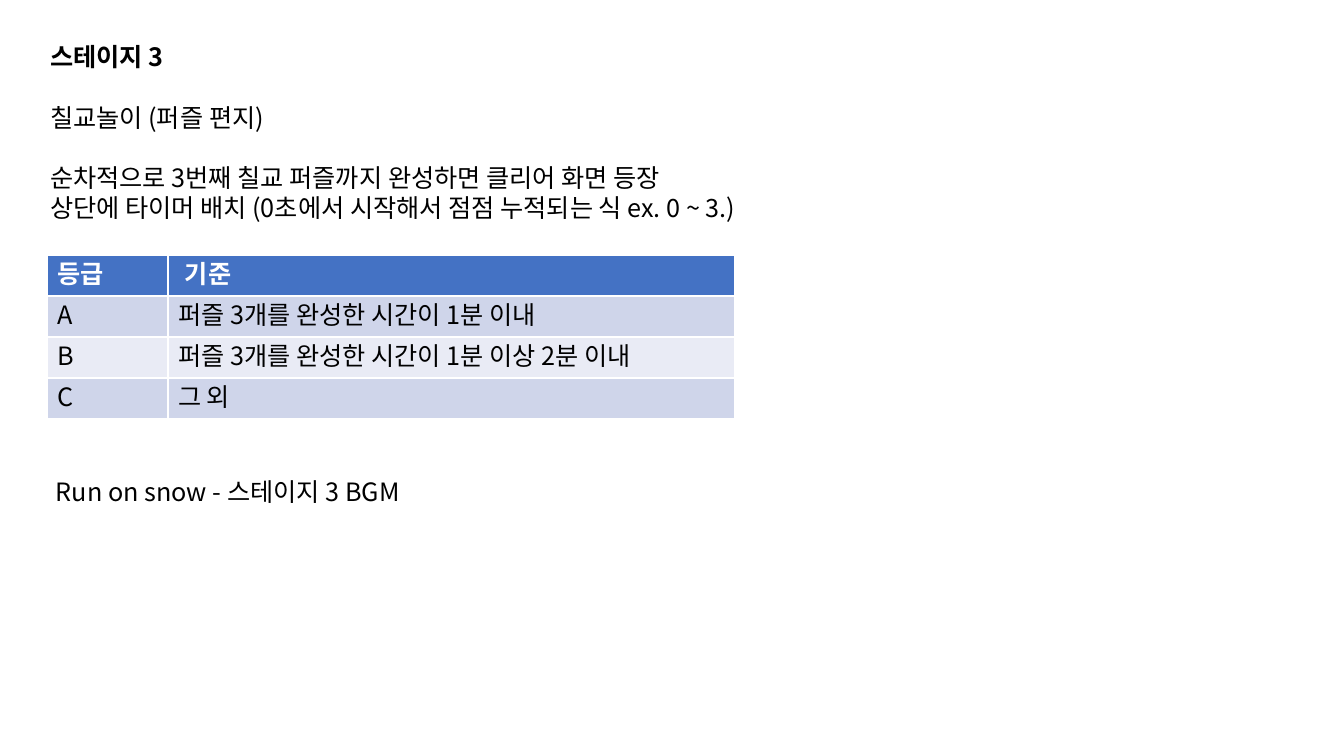
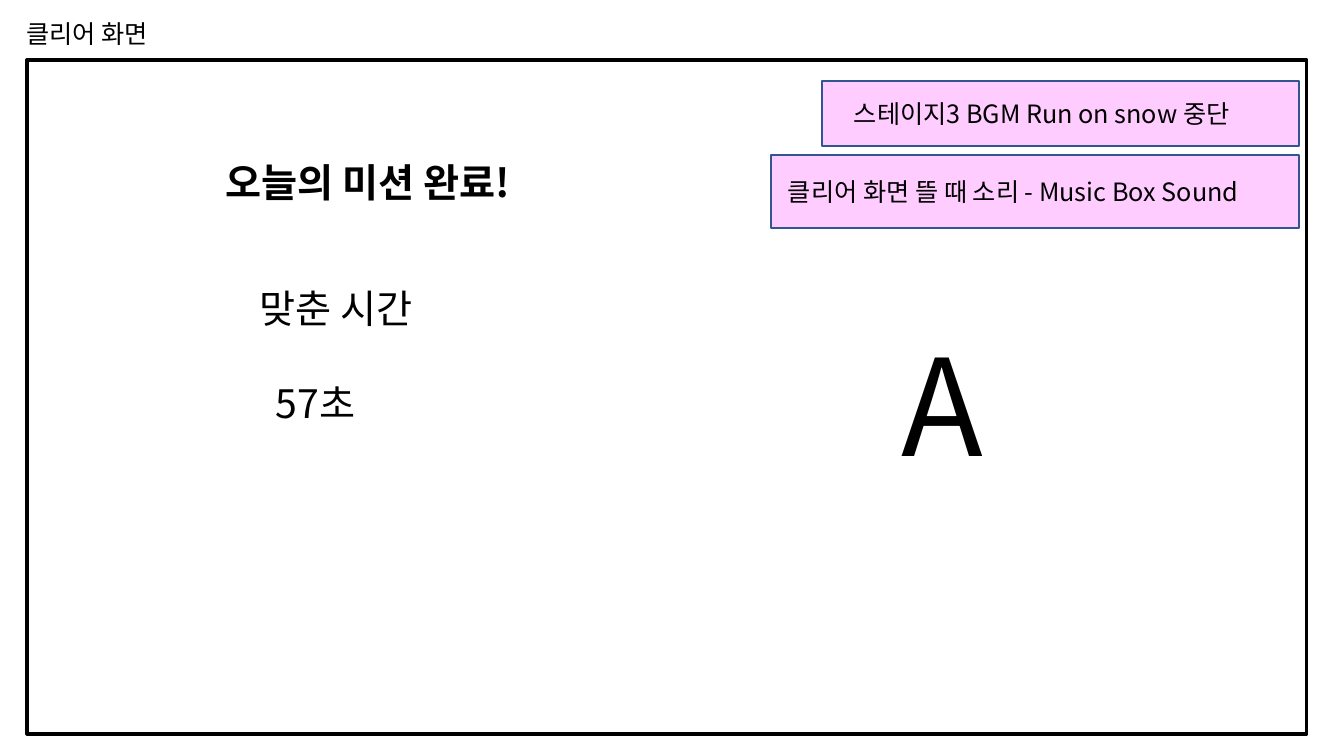
"""Build two slides on stage 3: the puzzle rules and the clear screen."""
from lxml.etree import SubElement
from pptx import Presentation
from pptx.dml.color import RGBColor
from pptx.enum.shapes import MSO_SHAPE
from pptx.enum.text import MSO_ANCHOR, MSO_AUTO_SIZE, PP_ALIGN
from pptx.oxml.ns import qn
from pptx.util import Emu, Pt

FONT = "Noto Sans CJK KR"
BLACK, WHITE = "000000", "FFFFFF"
HEADER_FILL, BAND_FILLS = "4472C4", ("CFD5EA", "E9EBF5")
NOTE_FILL, NOTE_LINE = "FFCCFF", "325491"
TEXT_SIZE, LARGE_SIZE, GRADE_SIZE = 18, 28, 96
LINE_RATIO = 1.2
SLIDE_WIDTH, SLIDE_HEIGHT = 1344, 756
PIXEL = 12192000 / SLIDE_WIDTH

RULES_TITLE = "스테이지 3"
RULES = [
    ("칠교놀이 (퍼즐 편지)", 0),
    ("순차적으로 3번째 칠교 퍼즐까지 완성하면 클리어 화면 등장", 1),
    ("상단에 타이머 배치 (0초에서 시작해서 점점 누적되는 식 ex. 0 ~ 3.)", 0),
]
GRADES = [
    ("등급", "기준"),
    ("A", "퍼즐 3개를 완성한 시간이 1분 이내"),
    ("B", "퍼즐 3개를 완성한 시간이 1분 이상 2분 이내"),
    ("C", "그 외"),
]
COLUMN_WIDTHS, ROW_HEIGHT = (121, 567), 41
MUSIC = "Run on snow - 스테이지 3 BGM"

CLEAR_TITLE = "클리어 화면"
CLEAR_TEXTS = [
    ("오늘의 미션 완료!", (216, 153, 477, 57), LARGE_SIZE, True),
    ("A", (892, 317, 323, 173), GRADE_SIZE, False),
    ("맞춘 시간", (250, 279, 400, 57), LARGE_SIZE, False),
    ("57초", (266, 374, 400, 57), LARGE_SIZE, False),
]
SOUND_NOTES = [
    ("스테이지3 BGM Run on snow 중단", (822, 81, 477, 65), 32),
    ("클리어 화면 뜰 때 소리 - Music Box Sound", (771, 155, 528, 73), 17),
]


def px(value):
    return Emu(round(value * PIXEL))


def color(value):
    return RGBColor.from_string(value)


def place(shape, box):
    shape.left, shape.top, shape.width, shape.height = map(px, box)


def write(paragraph, text, size=TEXT_SIZE, bold=False, fill=BLACK, lines_before=0):
    properties = paragraph._p.get_or_add_pPr()
    properties.set("marL", "0")
    properties.set("indent", "0")
    SubElement(properties, qn("a:buNone"))
    paragraph.alignment = PP_ALIGN.LEFT
    paragraph.line_spacing = Pt(size * LINE_RATIO)
    paragraph.space_before = Pt(lines_before * size * LINE_RATIO)
    paragraph.space_after = Pt(0)
    run = paragraph.add_run()
    run.text = text
    run.font.size, run.font.bold = Pt(size), bold
    run.font.color.rgb = color(fill)
    run.font.name = FONT
    SubElement(run._r.get_or_add_rPr(), qn("a:ea")).set("typeface", FONT)


def prepare_frame(shape, anchor=MSO_ANCHOR.TOP):
    frame = shape.text_frame
    frame.word_wrap = True
    frame.auto_size = MSO_AUTO_SIZE.NONE
    frame.vertical_anchor = anchor
    return frame


def add_text(slide, text, box, **text_format):
    shape = slide.shapes.add_textbox(*map(px, box))
    write(prepare_frame(shape).paragraphs[0], text, **text_format)


def add_rectangle(slide, box, line, line_width, fill=None):
    shape = slide.shapes.add_shape(MSO_SHAPE.RECTANGLE, *map(px, box))
    shape.shadow.inherit = False
    if fill:
        shape.fill.solid()
        shape.fill.fore_color.rgb = color(fill)
    else:
        shape.fill.background()
    shape.line.color.rgb = color(line)
    shape.line.width = Pt(line_width)
    return shape


def add_slide(presentation, layout_index, title, title_box, bold=False):
    slide = presentation.slides.add_slide(presentation.slide_layouts[layout_index])
    place(slide.shapes.title, title_box)
    write(prepare_frame(slide.shapes.title).paragraphs[0], title, bold=bold)
    return slide


def add_grade_table(slide, left, top):
    box = (left, top, sum(COLUMN_WIDTHS), ROW_HEIGHT * len(GRADES))
    table = slide.shapes.add_table(len(GRADES), len(COLUMN_WIDTHS), *map(px, box)).table
    for column, width in zip(table.columns, COLUMN_WIDTHS):
        column.width = px(width)
    for row_index, row in enumerate(GRADES):
        header = row_index == 0
        for column_index, text in enumerate(row):
            cell = table.cell(row_index, column_index)
            cell.fill.solid()
            cell.fill.fore_color.rgb = color(HEADER_FILL if header else BAND_FILLS[(row_index - 1) % 2])
            if header and column_index:
                cell.margin_left = px(17)
            write(cell.text_frame.paragraphs[0], text, bold=header, fill=WHITE if header else BLACK)


def build_rules_slide(presentation):
    slide = add_slide(presentation, 1, RULES_TITLE, (40, 36, 1075, 40), bold=True)
    body = slide.placeholders[1]
    place(body, (40, 97, 1075, 140))
    frame = prepare_frame(body)
    for index, (text, lines_before) in enumerate(RULES):
        paragraph = frame.add_paragraph() if index else frame.paragraphs[0]
        write(paragraph, text, lines_before=lines_before)
    add_grade_table(slide, 47, 255)
    add_text(slide, MUSIC, (46, 471, 445, 40))


def build_clear_slide(presentation):
    slide = add_slide(presentation, 5, CLEAR_TITLE, (16, 13, 924, 40))
    add_rectangle(slide, (27, 60, 1280, 674), BLACK, 2.25)
    for text, box, size, bold in CLEAR_TEXTS:
        add_text(slide, text, box, size=size, bold=bold)
    for text, box, indent in SOUND_NOTES:
        note = add_rectangle(slide, box, NOTE_LINE, 1, fill=NOTE_FILL)
        frame = prepare_frame(note, MSO_ANCHOR.MIDDLE)
        frame.margin_left = px(indent)
        write(frame.paragraphs[0], text)


def main():
    presentation = Presentation()
    presentation.slide_width, presentation.slide_height = px(SLIDE_WIDTH), px(SLIDE_HEIGHT)
    build_rules_slide(presentation)
    build_clear_slide(presentation)
    presentation.save("out.pptx")


if __name__ == "__main__":
    main()
